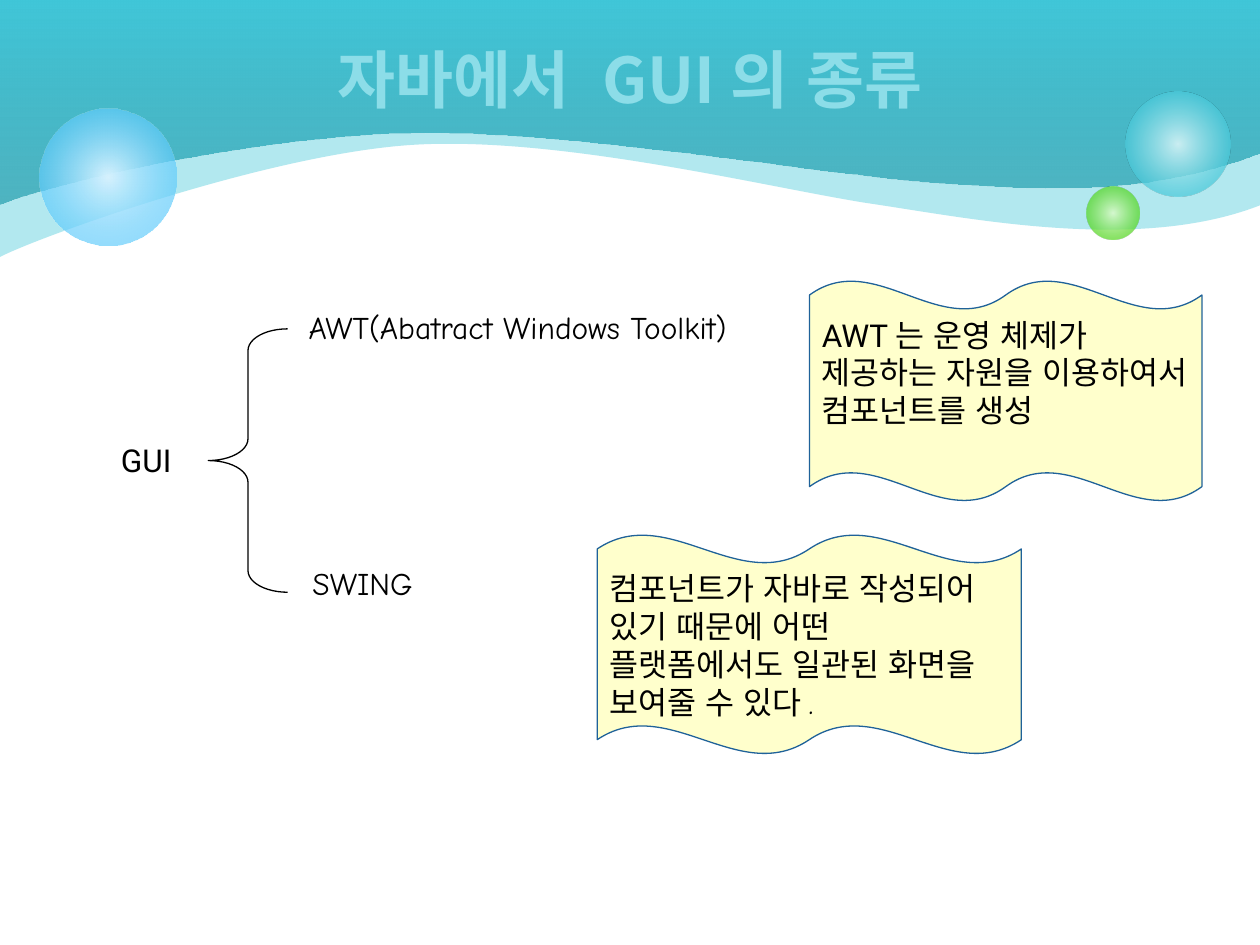
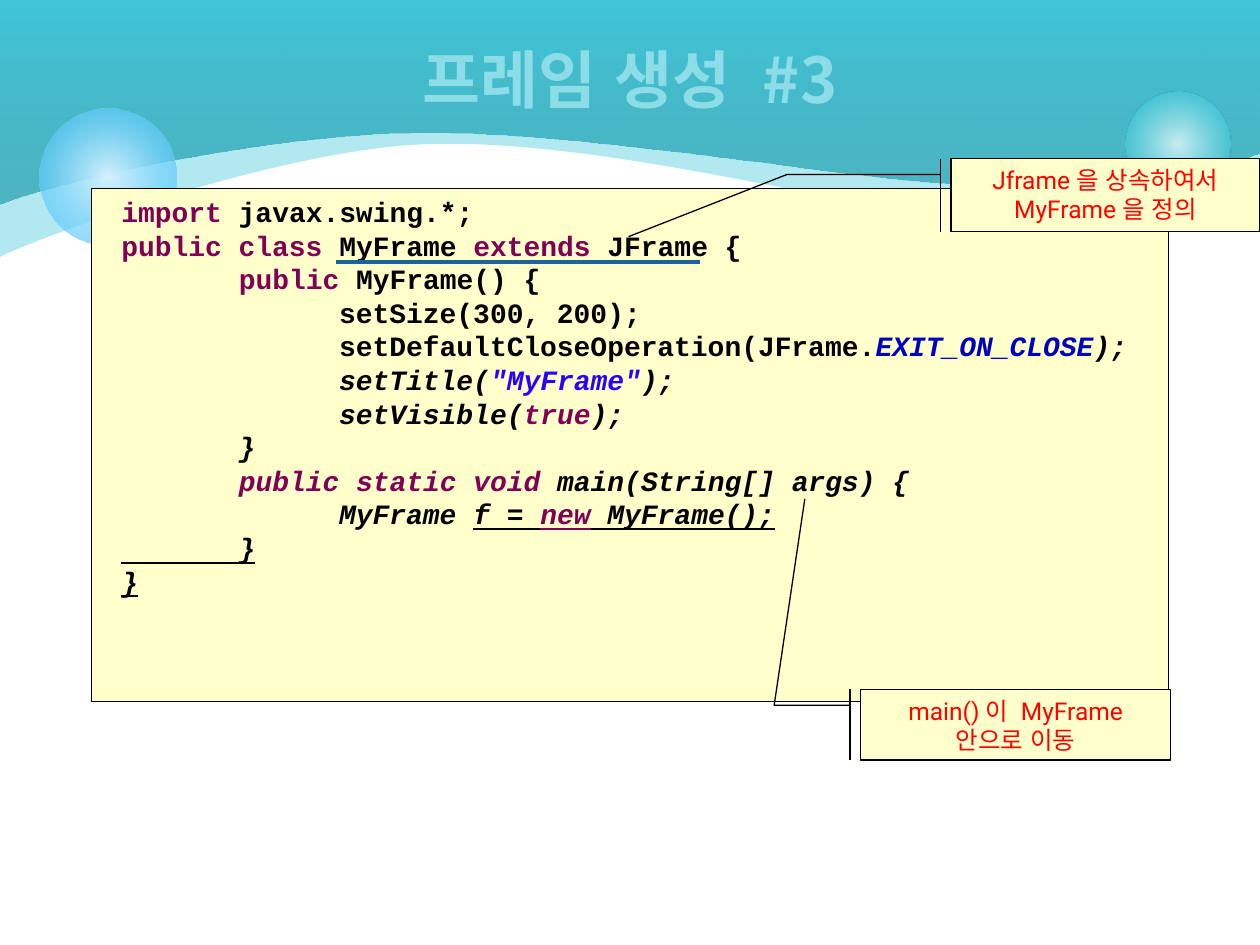
from dataclasses import dataclass
from typing import NamedTuple

from lxml import etree
from pptx import Presentation
from pptx.dml.color import RGBColor
from pptx.enum.lang import MSO_LANGUAGE_ID as Lang
from pptx.enum.shapes import MSO_CONNECTOR as Connector, MSO_SHAPE as Preset
from pptx.enum.text import MSO_ANCHOR as Anchor, PP_ALIGN as Align
from pptx.oxml import parse_xml
from pptx.oxml.ns import nsdecls, qn
from pptx.util import Cm, Pt


@dataclass(frozen=True)
class Theme:
    black: str = "000000"
    red: str = "FF0000"
    paper: str = "FFFFCC"
    blue: str = "1F6299"
    aqua: str = "40C6D8"
    teal: str = "249EAE"
    pale_aqua: str = "D9F4F7"
    mid_aqua: str = "8CDDE8"
    pale_green: str = "DAFACD"
    green: str = "4CD416"
    pale_sky: str = "D6F2FE"
    sky: str = "33BDFB"
    keyword: str = "7F0055"
    constant: str = "0000C0"
    string: str = "2A00FF"
    korean: str = "Noto Sans CJK KR"
    sans: str = "Roboto"
    hand: str = "Comic Neue"
    mono: str = "Courier New"
    title_size: float = 36
    body_size: float = 18
    code_size: float = 16
    callout_size: float = 14
    hairline: float = 0.75
    line_pitch: float = 1.2


THEME = Theme()


class Box(NamedTuple):
    left: float
    top: float
    width: float
    height: float

    def emu(self) -> list[int]:
        return [Cm(value) for value in self]


class Stop(NamedTuple):
    position: int
    color: str
    opacity: int = 100


class Wave(NamedTuple):
    """Curves from the top left corner, each as two control points and an end."""
    curves: list[tuple[float, float]]
    stops: list[Stop]


class Bubble(NamedTuple):
    box: Box
    stops: list[Stop]


class Label(NamedTuple):
    text: str
    box: Box
    font: str


class Note(NamedTuple):
    text: str
    box: Box
    preset: Preset
    adjustments: list[float]
    font: str = THEME.sans
    size: float = THEME.body_size
    color: str = THEME.black
    outline: str = THEME.black
    align: Align = Align.LEFT


class Code(NamedTuple):
    text: str
    color: str = THEME.black
    italic: bool = False
    underline: bool = False


WAVES = [
    Wave([(0, 1.37), (0, 3.81), (0, 5.18),
          (0.84, 4.75), (5.44, 3.1), (8.33, 2.92),
          (11.25, 2.74), (15.39, 3.76), (17.45, 4.09),
          (19.51, 4.39), (22.91, 5.11), (25.4, 4.14)],
         [Stop(0, THEME.aqua, 40)]),
    Wave([(0, 1.37), (0, 2.74), (0, 4.12),
          (1.14, 3.66), (5.16, 2.74), (8.28, 2.68),
          (11.4, 2.59), (16.71, 3.53), (18.72, 3.66),
          (20.73, 3.78), (22.91, 4.04), (25.4, 3.08)],
         [Stop(0, THEME.teal, 69), Stop(100, THEME.aqua)]),
]
BUBBLES = [
    Bubble(Box(22.69, 1.85, 2.11, 2.11), [Stop(0, THEME.pale_aqua, 90), Stop(76, THEME.aqua, 70)]),
    Bubble(Box(21.9, 3.76, 1.07, 1.07), [Stop(0, THEME.pale_green, 90), Stop(76, THEME.green, 70)]),
    Bubble(Box(0.79, 2.18, 2.77, 2.77), [Stop(0, THEME.pale_sky), Stop(100, THEME.sky, 54)]),
]
TITLE_BOX = Box(1.27, 0, 22.86, 3.17)
TITLE_STOPS = [Stop(0, THEME.pale_aqua), Stop(48, THEME.mid_aqua),
               Stop(57, THEME.pale_aqua), Stop(100, THEME.pale_aqua)]

BRACE_BOX = Box(4.2, 6.63, 1.6, 5.31)
TOOLKITS = [
    Label("GUI", Box(2.19, 8.76, 1.52, 1.02), THEME.sans),
    Label("AWT(Abatract Windows Toolkit)", Box(5.97, 6.08, 10.36, 1.02), THEME.hand),
    Label("SWING", Box(6.05, 11.25, 2.92, 1.02), THEME.hand),
]
TOOLKIT_NOTES = [
    Note("AWT는 운영 체제가 제공하는 자원을 이용하여서 컴포넌트를 생성",
         Box(16.32, 5.66, 7.91, 4.44), Preset.DOUBLE_WAVE, [0.065, 0], outline=THEME.blue),
    Note("컴포넌트가 자바로 작성되어 있기 때문에 어떤 플랫폼에서도 일관된 화면을 보여줄 수 있다.",
         Box(12.04, 10.78, 8.55, 4.42), Preset.DOUBLE_WAVE, [0.065, 0],
         font=THEME.hand, outline=THEME.blue),
]

CODE_BOX = Box(1.85, 3.8, 21.71, 10.34)
METHOD, BODY = " " * 7, " " * 13
KEY = THEME.keyword
MYFRAME_CODE = [
    [Code("import", KEY), Code(" javax.swing.*;")],
    [Code("public class", KEY), Code(" MyFrame "), Code("extends", KEY), Code(" JFrame {")],
    [Code(METHOD), Code("public", KEY), Code(" MyFrame() {")],
    [Code(BODY + "setSize(300, 200);")],
    [Code(BODY + "setDefaultCloseOperation(JFrame."),
     Code("EXIT_ON_CLOSE", THEME.constant, True), Code(");", italic=True)],
    [Code(BODY + "setTitle(", italic=True),
     Code('"MyFrame"', THEME.string, True), Code(");", italic=True)],
    [Code(BODY + "setVisible(", italic=True), Code("true", KEY, True), Code(");", italic=True)],
    [Code(METHOD + "}", italic=True)],
    [Code(METHOD, italic=True), Code("public static void", KEY, True),
     Code(" main(String[] args) {", italic=True)],
    [Code(BODY + "MyFrame ", italic=True), Code("f = ", italic=True, underline=True),
     Code("new", KEY, True, True), Code(" MyFrame();", italic=True, underline=True)],
    [Code(METHOD + "}", italic=True, underline=True)],
    [Code("}", italic=True, underline=True)],
]
CALLOUT_STYLE = dict(preset=Preset.LINE_CALLOUT_2_BORDER_AND_ACCENT_BAR,
                     size=THEME.callout_size, color=THEME.red, align=Align.CENTER)
CODE_NOTES = [
    Note("main()이 MyFrame 안으로 이동", Box(17.35, 13.9, 6.25, 1.42),
         adjustments=[0.225, -0.034, 0.225, -0.279, -2.706, -0.18], **CALLOUT_STYLE),
    Note("Jframe을 상속하여서 MyFrame을 정의", Box(19.17, 3.2, 6.23, 1.47),
         adjustments=[0.216, -0.034, 0.216, -0.53, 1.069, -1.043], **CALLOUT_STYLE),
]


def rgb(color: str) -> RGBColor:
    return RGBColor.from_string(color)


def fill_xml(stops: list[Stop], angle: int | None = None):
    """One stop gives a solid fill; no angle gives a radial gradient."""
    colors = [f'<a:srgbClr val="{s.color}"><a:alpha val="{s.opacity * 1000}"/></a:srgbClr>'
              for s in stops]
    if len(stops) == 1:
        return parse_xml(f'<a:solidFill {nsdecls("a")}>{colors[0]}</a:solidFill>')
    marks = "".join(f'<a:gs pos="{s.position * 1000}">{c}</a:gs>' for s, c in zip(stops, colors))
    if angle is None:
        course = ('<a:path path="circle">'
                  '<a:fillToRect l="50000" t="50000" r="50000" b="50000"/></a:path>')
    else:
        course = f'<a:lin ang="{angle * 60000}" scaled="0"/>'
    return parse_xml(f'<a:gradFill {nsdecls("a")} rotWithShape="1">'
                     f'<a:gsLst>{marks}</a:gsLst>{course}</a:gradFill>')


def paint(shape, stops: list[Stop], angle: int | None = None) -> None:
    shape.shadow.inherit = False
    shape.line.fill.background()
    shape.fill.background()
    properties = shape.element.spPr
    properties.replace(properties.find(qn("a:noFill")), fill_xml(stops, angle))


def add_wave(slide, wave: Wave):
    """Build the outline from its points, then join each three into a Bezier curve."""
    corners = [(25.4, 0), (0, 0)]
    builder = slide.shapes.build_freeform(0, 0)
    builder.add_line_segments([(Cm(x), Cm(y)) for x, y in wave.curves + corners], close=True)
    shape = builder.convert_to_shape()
    outline = next(shape.element.iter(qn("a:path")))
    segments = outline.findall(qn("a:lnTo"))
    for start in range(0, len(wave.curves), 3):
        curve = etree.Element(qn("a:cubicBezTo"))
        segments[start].addprevious(curve)
        for segment in segments[start:start + 3]:
            curve.append(segment[0])
            outline.remove(segment)
    paint(shape, wave.stops, angle=270)
    return shape


def add_bubble(slide, bubble: Bubble):
    shape = slide.shapes.add_shape(Preset.OVAL, *bubble.box.emu())
    paint(shape, bubble.stops)
    return shape


def build_backdrop(slide, layout) -> None:
    """Draw the waves and bubbles, then hand them to the layout shared by all slides."""
    backdrop = [add_wave(slide, wave) for wave in WAVES]
    backdrop += [add_bubble(slide, bubble) for bubble in BUBBLES]
    for number, shape in enumerate(backdrop, start=101):
        shape.element.nvSpPr.cNvPr.set("id", str(number))
        layout.shapes.element.append(shape.element)


def style_run(run, font: str, size: float, color: str | None = None) -> None:
    run.font.size = Pt(size)
    run.font.name = font
    run.font.language_id = Lang.KOREAN
    if color:
        run.font.color.rgb = rgb(color)
    east_asian = etree.Element(qn("a:ea"), typeface=THEME.korean)
    run.font._element.find(qn("a:latin")).addnext(east_asian)


def set_title(slide, text: str) -> None:
    title = slide.shapes.title
    title.left, title.top, title.width, title.height = TITLE_BOX.emu()
    title.text_frame.text = text
    title.text_frame.vertical_anchor = Anchor.MIDDLE
    paragraph = title.text_frame.paragraphs[0]
    paragraph.alignment = Align.CENTER
    run = paragraph.runs[0]
    style_run(run, THEME.korean, THEME.title_size)
    run.font.bold = True
    outline = parse_xml(f'<a:ln {nsdecls("a")} w="{Pt(0.5)}"/>')
    outline.append(fill_xml([Stop(0, THEME.pale_aqua)]))
    run.font._element.insert(0, outline)
    outline.addnext(fill_xml(TITLE_STOPS, angle=90))


def add_panel(slide, preset: Preset, box: Box, outline: str = THEME.black):
    panel = slide.shapes.add_shape(preset, *box.emu())
    panel.shadow.inherit = False
    panel.fill.solid()
    panel.fill.fore_color.rgb = rgb(THEME.paper)
    panel.line.color.rgb = rgb(outline)
    panel.line.width = Pt(THEME.hairline)
    panel.text_frame.word_wrap = True
    panel.text_frame.vertical_anchor = Anchor.TOP
    return panel


def add_note(slide, note: Note) -> None:
    panel = add_panel(slide, note.preset, note.box, note.outline)
    for i, value in enumerate(note.adjustments):
        panel.adjustments[i] = value
    panel.text_frame.text = note.text
    paragraph = panel.text_frame.paragraphs[0]
    paragraph.alignment = note.align
    paragraph.line_spacing = Pt(note.size * THEME.line_pitch)
    style_run(paragraph.runs[0], note.font, note.size, note.color)


def add_label(slide, label: Label) -> None:
    frame = slide.shapes.add_textbox(*label.box.emu()).text_frame
    frame.word_wrap = False
    frame.text = label.text
    style_run(frame.paragraphs[0].runs[0], label.font, THEME.body_size, THEME.black)


def add_code(slide, lines: list[list[Code]]) -> None:
    frame = add_panel(slide, Preset.RECTANGLE, CODE_BOX).text_frame
    frame.margin_left = Cm(0.6)
    for i, line in enumerate(lines):
        paragraph = frame.add_paragraph() if i else frame.paragraphs[0]
        paragraph.alignment = Align.LEFT
        paragraph.line_spacing = Pt(THEME.code_size * THEME.line_pitch)
        for code in line:
            run = paragraph.add_run()
            run.text = code.text
            style_run(run, THEME.mono, THEME.code_size, code.color)
            run.font.bold = True
            run.font.italic = code.italic
            run.font.underline = code.underline


def build_gui_kinds(slide) -> None:
    set_title(slide, "자바에서 GUI의 종류")
    brace = slide.shapes.add_shape(Preset.LEFT_BRACE, *BRACE_BOX.emu())
    brace.shadow.inherit = False
    brace.fill.background()
    brace.line.color.rgb = rgb(THEME.black)
    brace.line.width = Pt(THEME.hairline)
    brace.adjustments[0], brace.adjustments[1] = 0.274, 0.5
    for label in TOOLKITS:
        add_label(slide, label)
    for note in TOOLKIT_NOTES:
        add_note(slide, note)


def build_frame_creation(slide) -> None:
    set_title(slide, "프레임 생성 #3")
    add_code(slide, MYFRAME_CODE)
    extends_mark = slide.shapes.add_connector(Connector.STRAIGHT, Cm(6.78), Cm(5.28),
                                              Cm(14.12), Cm(5.28))
    extends_mark.line.color.rgb = rgb(THEME.blue)
    extends_mark.line.width = Pt(2.25)
    etree.SubElement(extends_mark.element.spPr, qn("a:effectLst"))
    for note in CODE_NOTES:
        add_note(slide, note)


def main() -> None:
    deck = Presentation()
    deck.slide_width, deck.slide_height = Cm(25.4), Cm(19.05)
    title_only = deck.slide_layouts[5]
    gui_kinds, frame_creation = (deck.slides.add_slide(title_only) for _ in range(2))
    build_backdrop(gui_kinds, title_only)
    build_gui_kinds(gui_kinds)
    build_frame_creation(frame_creation)
    deck.save("out.pptx")


if __name__ == "__main__":
    main()
